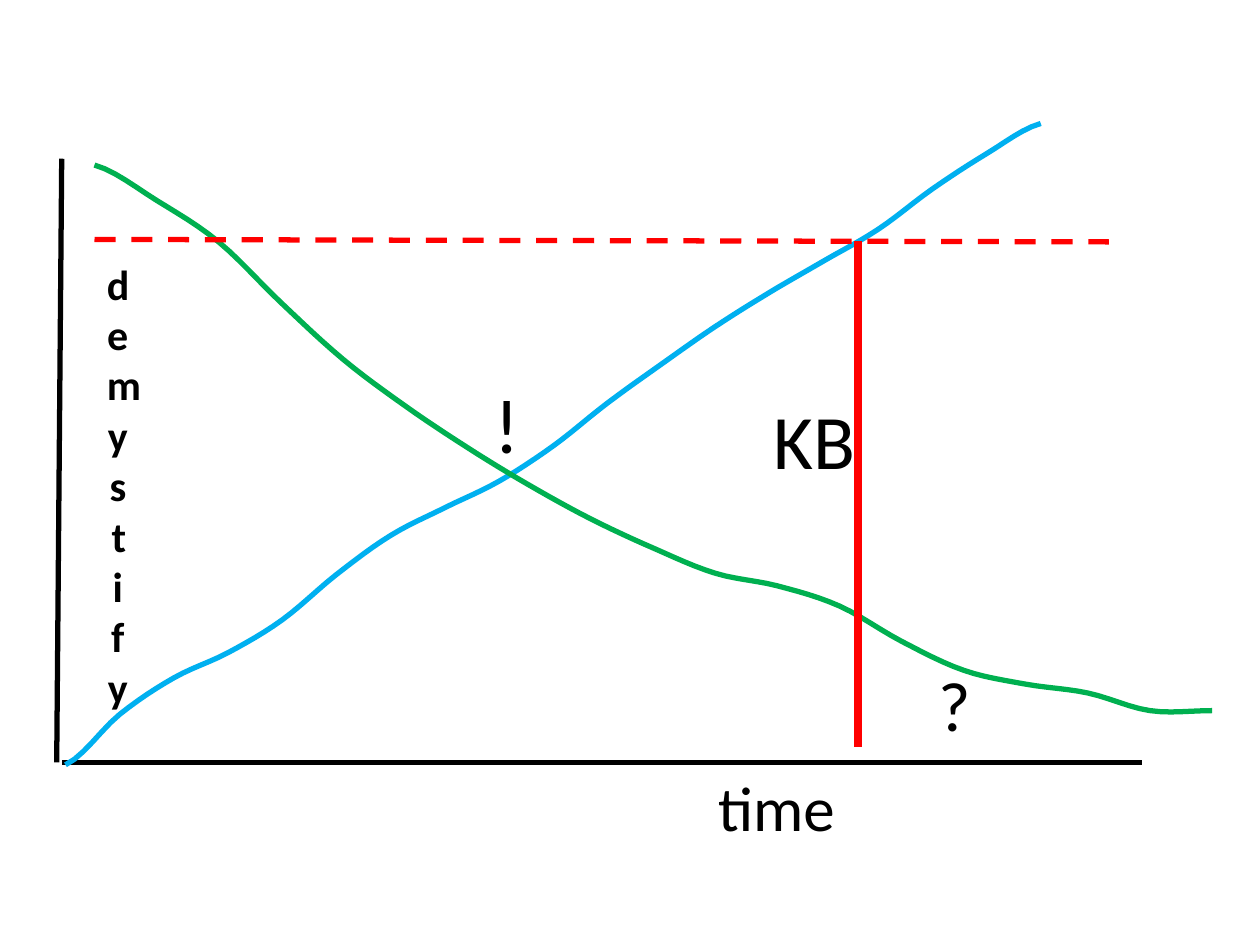
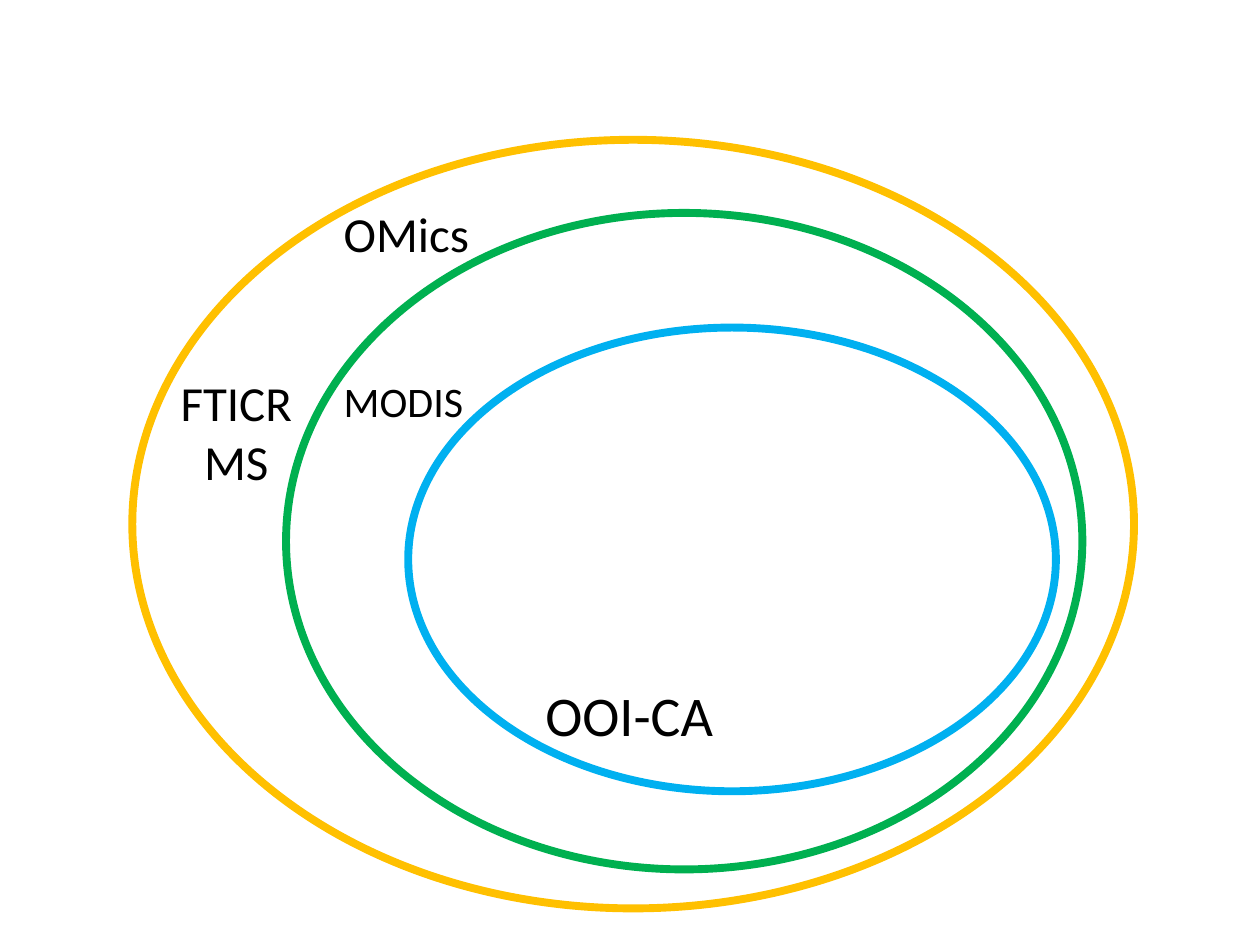
from dataclasses import dataclass

from lxml.etree import SubElement
from pptx import Presentation
from pptx.dml.color import RGBColor
from pptx.enum.dml import MSO_LINE_DASH_STYLE as DASH
from pptx.enum.shapes import MSO_CONNECTOR as CONNECTOR, MSO_SHAPE as SHAPE
from pptx.enum.text import MSO_AUTO_SIZE as AUTO_SIZE, PP_ALIGN as ALIGN
from pptx.oxml.ns import qn
from pptx.util import Inches, Pt


@dataclass(frozen=True)
class Theme:
    font: str = "Calibri"
    black: str = "000000"
    white: str = "FFFFFF"
    red: str = "FF0000"
    green: str = "00B050"
    blue: str = "00B0F0"
    gold: str = "FFC000"
    thin: float = 3
    thick: float = 4.5
    small: int = 24
    medium: int = 28
    large: int = 32
    axis: int = 36
    mark: int = 40
    huge: int = 44


def smooth_curve(left, right, heights, samples=6):
    step = (right - left) / (len(heights) - 1)
    padded = [heights[0], *heights, heights[-1]]
    points = []
    for index in range(len(heights) - 1):
        before, start, end, after = padded[index:index + 4]
        start_slope = (end - before) / 2
        end_slope = (after - start) / 2
        for sample in range(samples):
            t = sample / samples
            height = (
                (2 * t**3 - 3 * t**2 + 1) * start
                + (t**3 - 2 * t**2 + t) * start_slope
                + (3 * t**2 - 2 * t**3) * end
                + (t**3 - t**2) * end_slope
            )
            points.append((left + (index + t) * step, height))
    return points + [(right, heights[-1])]


class Deck:
    """Draws styled elements on the current slide of a presentation."""

    def __init__(self, theme):
        self.theme = theme
        self.presentation = Presentation()
        self.presentation.slide_width = Inches(10)
        self.presentation.slide_height = Inches(7.5)
        self.slide = None

    def add_slide(self):
        blank = self.presentation.slide_layouts[6]
        self.slide = self.presentation.slides.add_slide(blank)

    def stroke(self, shape, color, width):
        shape.line.color.rgb = RGBColor.from_string(color)
        shape.line.width = Pt(width)

    def line(self, start, end, color, width, dash=None):
        ends = map(Inches, (*start, *end))
        connector = self.slide.shapes.add_connector(CONNECTOR.STRAIGHT, *ends)
        self.stroke(connector, color, width)
        if dash:
            connector.line.dash_style = dash
        SubElement(connector._element.spPr, qn("a:effectLst"))

    def curve(self, points, color):
        first, *rest = [(Inches(x), Inches(y)) for x, y in points]
        builder = self.slide.shapes.build_freeform(*first)
        builder.add_line_segments(rest, close=False)
        shape = builder.convert_to_shape()
        shape.fill.background()
        shape.shadow.inherit = False
        self.stroke(shape, color, self.theme.thin)

    def ellipse(self, box, color):
        shape = self.slide.shapes.add_shape(SHAPE.OVAL, *map(Inches, box))
        shape.fill.solid()
        shape.fill.fore_color.rgb = RGBColor.from_string(self.theme.white)
        shape.shadow.inherit = False
        self.stroke(shape, color, self.theme.thick)

    def label(self, text, box, size, wrap=True, align=ALIGN.LEFT, bold=False):
        frame = self.slide.shapes.add_textbox(*map(Inches, box)).text_frame
        frame.word_wrap = wrap
        frame.auto_size = AUTO_SIZE.SHAPE_TO_FIT_TEXT
        frame.text = text
        for paragraph in frame.paragraphs:
            paragraph.alignment = align
            paragraph.font.name = self.theme.font
            paragraph.font.size = Pt(size)
            paragraph.font.bold = bold
            paragraph.font.color.rgb = RGBColor.from_string(self.theme.black)

    def save(self):
        self.presentation.save("out.pptx")


def draw_trends(deck):
    theme = deck.theme
    deck.add_slide()

    axis_left, axis_bottom = 0.49, 6.05
    threshold_left, threshold_top, deadline = 0.75, 1.9, 6.81
    rising_heights = [
        6.07, 5.67, 5.38, 5.18, 4.92, 4.56, 4.25, 4.03, 3.82, 3.54,
        3.2, 2.89, 2.59, 2.32, 2.07, 1.82, 1.5, 1.22, 0.98,
    ]
    falling_heights = [
        1.31, 1.59, 1.92, 2.4, 2.85, 3.22, 3.55, 3.85, 4.12, 4.35,
        4.55, 4.65, 4.81, 5.09, 5.32, 5.43, 5.5, 5.64, 5.64,
    ]

    deck.line((axis_left, 1.26), (0.45, axis_bottom), theme.black, theme.thin)
    deck.line((9.06, axis_bottom), (axis_left, axis_bottom),
              theme.black, theme.thin)
    deck.curve(smooth_curve(0.52, 8.26, rising_heights), theme.blue)
    deck.curve(smooth_curve(threshold_left, 9.62, falling_heights), theme.green)
    deck.line((threshold_left, threshold_top), (8.8, 1.92),
              theme.red, theme.thin, DASH.DASH)
    deck.line((deadline, 1.91), (deadline, 5.93), theme.red, theme.thick)

    for text, box, size in (
        ("?", (7.35, 5.2, 0.67, 0.77), theme.mark),
        ("!", (3.83, 2.94, 0.59, 0.84), theme.huge),
        ("KB", (6.04, 3.07, 1.25, 0.84), theme.huge),
        ("time", (5.6, axis_bottom, 1.75, 0.71), theme.axis),
    ):
        deck.label(text, box, size)
    deck.label("demystify", (threshold_left, 2, 0.37, 3.74), theme.small,
               align=ALIGN.CENTER, bold=True)


def draw_nested_sets(deck):
    theme = deck.theme
    deck.add_slide()

    for box, color in (
        ((1.05, 1.11, 7.95, 6.1), theme.gold),
        ((2.27, 1.69, 6.32, 5.21), theme.green),
        ((3.24, 2.6, 5.14, 3.68), theme.blue),
    ):
        deck.ellipse(box, color)

    for text, box, size, align in (
        ("OMics", (2.63, 1.57, 1.23, 0.57), theme.medium, ALIGN.LEFT),
        ("MODIS", (2.63, 2.93, 1.16, 0.5), theme.small, ALIGN.LEFT),
        ("OOI-CA", (4.23, 5.35, 1.57, 0.64), theme.large, ALIGN.LEFT),
        ("FTICR\nMS", (1.33, 2.91, 1.09, 1.04), theme.medium, ALIGN.CENTER),
    ):
        deck.label(text, box, size, wrap=False, align=align)


def main():
    deck = Deck(Theme())
    draw_trends(deck)
    draw_nested_sets(deck)
    deck.save()


if __name__ == "__main__":
    main()
